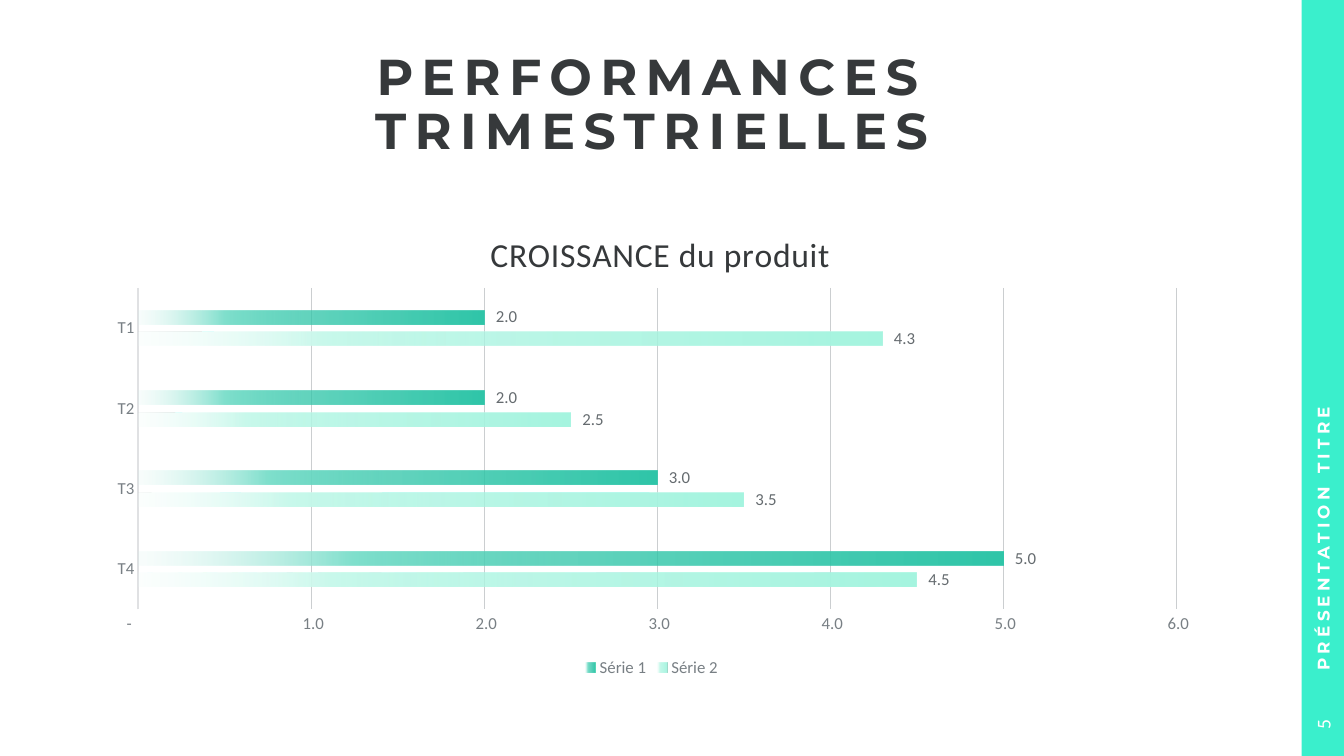
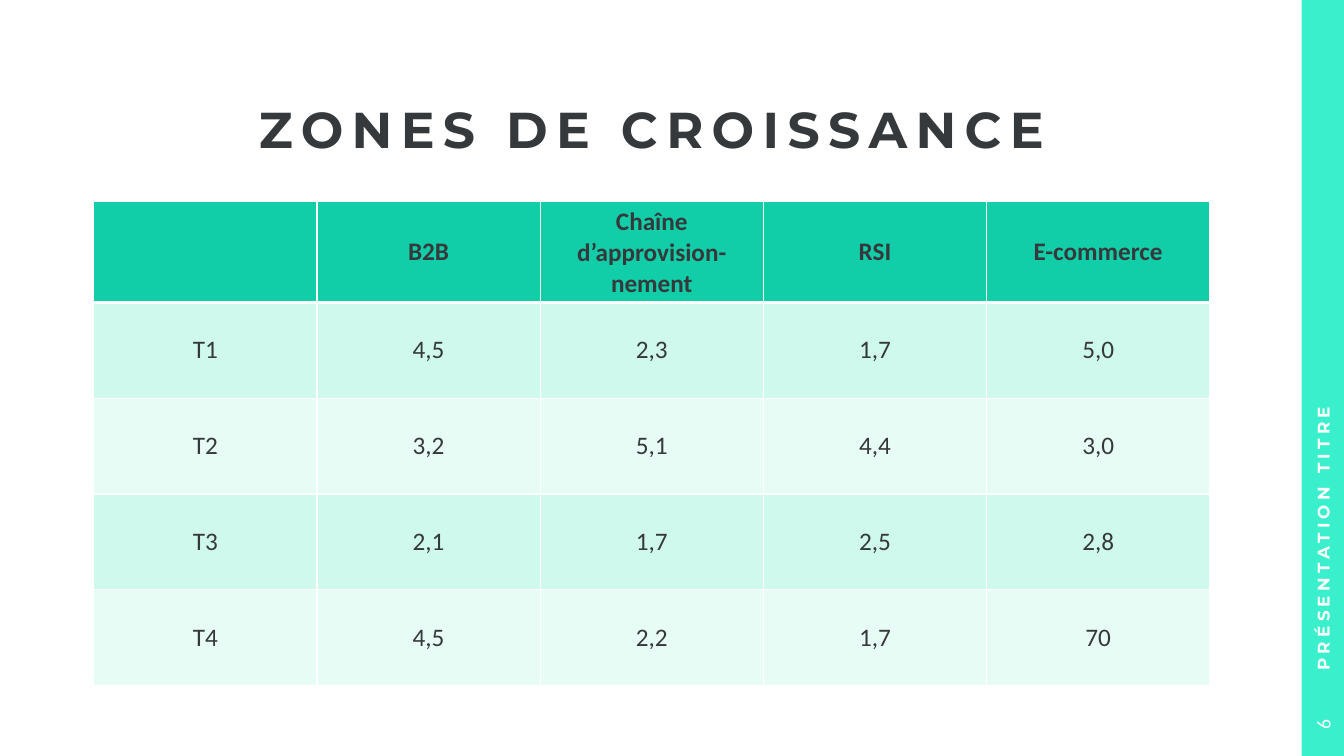
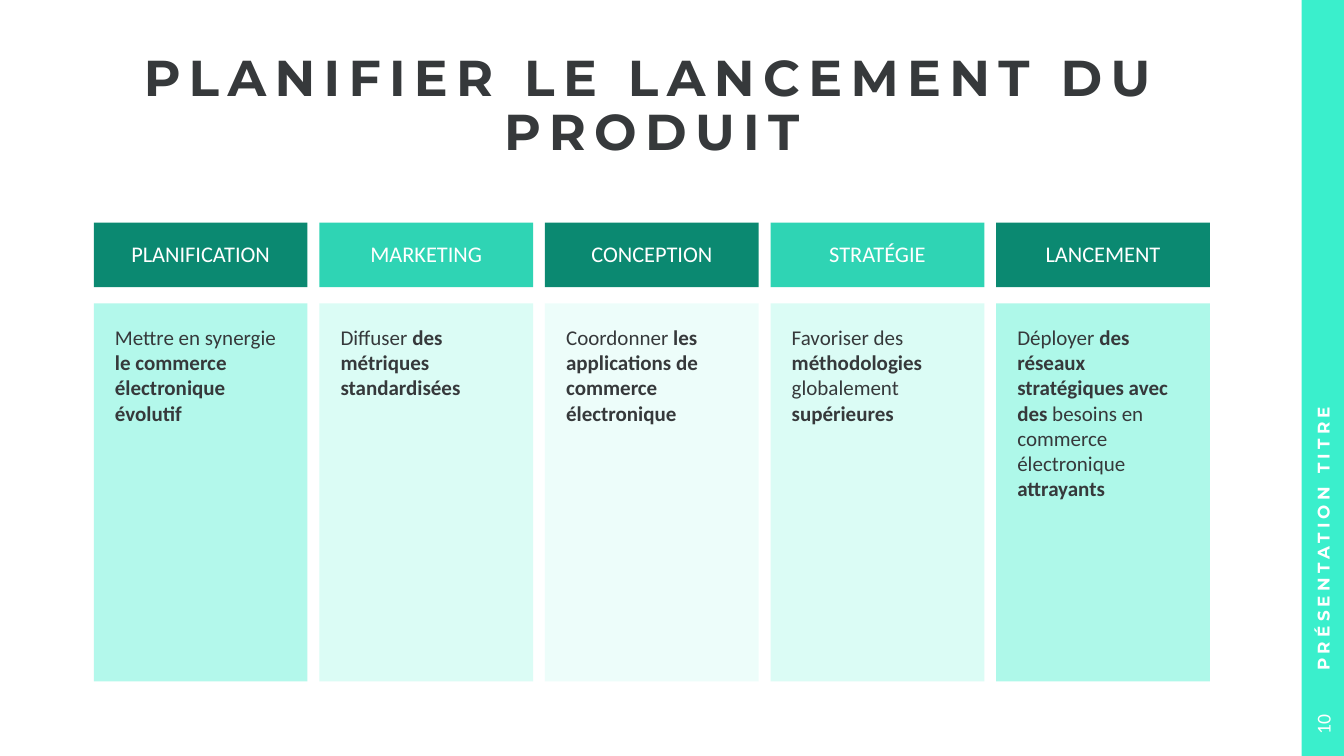
from dataclasses import dataclass

from lxml import etree
from pptx import Presentation
from pptx.chart.data import CategoryChartData
from pptx.dml.color import RGBColor
from pptx.enum.chart import XL_CHART_TYPE, XL_LABEL_POSITION, XL_LEGEND_POSITION, XL_TICK_MARK
from pptx.enum.shapes import MSO_SHAPE
from pptx.enum.text import MSO_ANCHOR, PP_ALIGN
from pptx.oxml import parse_xml
from pptx.oxml.ns import nsdecls, qn
from pptx.util import Inches, Pt

BAR_CLUSTERED = XL_CHART_TYPE.BAR_CLUSTERED
OUTSIDE_END = XL_LABEL_POSITION.OUTSIDE_END
LEGEND_BOTTOM = XL_LEGEND_POSITION.BOTTOM
NO_TICK = XL_TICK_MARK.NONE
RECTANGLE = MSO_SHAPE.RECTANGLE
TOP, MIDDLE = MSO_ANCHOR.TOP, MSO_ANCHOR.MIDDLE
LEFT, CENTER = PP_ALIGN.LEFT, PP_ALIGN.CENTER

WHITE = RGBColor(0xFF, 0xFF, 0xFF)
INK = RGBColor(0x36, 0x39, 0x3B)
BAND = RGBColor(0x3A, 0xEF, 0xCC)
EMERALD = RGBColor(0x11, 0xCE, 0xA9)
PINE = RGBColor(0x0B, 0x89, 0x71)
MINT = RGBColor(0x89, 0xF5, 0xE0)
PALE_MINT = RGBColor(0xB0, 0xF9, 0xEB)
FAINT_MINT = RGBColor(0xD8, 0xFC, 0xF5)
ODD_ROW = RGBColor(0xCE, 0xF9, 0xEC)
EVEN_ROW = RGBColor(0xE8, 0xFC, 0xF6)
AXIS_TEXT = RGBColor(0x78, 0x7F, 0x84)
LABEL_TEXT = RGBColor(0x65, 0x6B, 0x6F)
AXIS_LINE = RGBColor(0xE0, 0xE1, 0xE3)
GRID_LINE = RGBColor(0xCB, 0xCE, 0xD0)

HEADING_FONT = "Montserrat"
BODY_FONT = "Calibri"
MARGIN, CONTENT_WIDTH = 0.93, 11.07
TITLE_BOTTOM = 1.67
NUMBER_FORMAT = r'_(* #\ ##0.0_);_(* \(#\ ##0.0\);_(* "-"??_);_(@_)'


@dataclass(frozen=True)
class BarSeries:
    name: str
    values: tuple[float, ...]
    strong: RGBColor
    soft: RGBColor
    faint: RGBColor


@dataclass(frozen=True)
class Phase:
    name: str
    spans: tuple[tuple[str, bool], ...]
    header_fill: RGBColor
    header_opacity: int
    card_fill: RGBColor
    card_opacity: int


CATEGORIES = ("T4", "T3", "T2", "T1")
SERIES = (
    BarSeries("Série 2", (4.5, 3.5, 2.5, 4.3), RGBColor(0xA6, 0xF5, 0xE0),
              RGBColor(0xC9, 0xF9, 0xEC), RGBColor(0xED, 0xFD, 0xF9)),
    BarSeries("Série 1", (5, 3, 2, 2), RGBColor(0x30, 0xC6, 0xA9),
              RGBColor(0x80, 0xE0, 0xCD), RGBColor(0xD5, 0xF5, 0xEE)),
)
GROWTH_ROWS = (
    ("", "B2B", "Chaîne d’approvision-nement", "RSI", "E-commerce"),
    ("T1", "4,5", "2,3", "1,7", "5,0"),
    ("T2", "3,2", "5,1", "4,4", "3,0"),
    ("T3", "2,1", "1,7", "2,5", "2,8"),
    ("T4", "4,5", "2,2", "1,7", "70"),
)
PHASES = (
    Phase("PLANIFICATION",
          (("Mettre en synergie ", False), ("le commerce électronique évolutif", True)),
          PINE, 100, MINT, 64),
    Phase("MARKETING",
          (("Diffuser ", False), ("des métriques standardisées", True)),
          EMERALD, 87, PALE_MINT, 45),
    Phase("CONCEPTION",
          (("Coordonner ", False), ("les applications de commerce électronique", True)),
          PINE, 100, FAINT_MINT, 44),
    Phase("STRATÉGIE",
          (("Favoriser des", False), (" méthodologies ", True),
           ("globalement ", False), ("supérieures", True)),
          EMERALD, 87, PALE_MINT, 45),
    Phase("LANCEMENT",
          (("Déployer ", False), ("des réseaux stratégiques avec des", True),
           (" besoins en commerce électronique", False), (" attrayants", True)),
          PINE, 100, MINT, 68),
)


def style_font(font, *, size: float, color: RGBColor, name: str = BODY_FONT,
               bold: bool = False) -> None:
    font.size = Pt(size)
    font.name = name
    font.bold = bold
    font.color.rgb = color


def add_span(para, text: str, *, tracking: float = 0, **font_format) -> None:
    span = para.add_run()
    span.text = text
    style_font(span.font, **font_format)
    if tracking:
        span._r.get_or_add_rPr().set("spc", str(int(tracking * 100)))


def set_frame(frame, *, anchor=MIDDLE, insets=(0.1, 0.05, 0.1, 0.05)) -> None:
    frame.word_wrap = True
    frame.vertical_anchor = anchor
    frame.margin_left, frame.margin_top, frame.margin_right, frame.margin_bottom = map(Inches, insets)


def add_text(page, text: str, left: float, top: float, width: float, height: float, *,
             align=LEFT, insets=(0.1, 0.05, 0.1, 0.05), rotation: float = 0,
             line_spacing: float = 1.0, **span_format) -> None:
    box = page.shapes.add_textbox(Inches(left), Inches(top), Inches(width), Inches(height))
    box.rotation = rotation
    set_frame(box.text_frame, insets=insets)
    para = box.text_frame.paragraphs[0]
    para.alignment = align
    para.line_spacing = line_spacing
    add_span(para, text, **span_format)


def add_panel(page, left: float, top: float, width: float, height: float,
              color: RGBColor, opacity: int = 100):
    panel = page.shapes.add_shape(RECTANGLE, Inches(left), Inches(top), Inches(width), Inches(height))
    panel.shadow.inherit = False
    panel.line.fill.background()
    panel.fill.solid()
    panel.fill.fore_color.rgb = color
    if opacity < 100:
        for tint in panel.element.spPr.xpath("./a:solidFill/a:srgbClr"):
            etree.SubElement(tint, qn("a:alpha")).set("val", str(opacity * 1000))
    return panel


def add_page(deck, title: str, number: int, title_top: float):
    page = deck.slides.add_slide(deck.slide_layouts[6])
    add_panel(page, 12.91, 0, 0.42, 7.5, BAND)
    add_text(page, title, MARGIN, title_top, CONTENT_WIDTH, TITLE_BOTTOM - title_top,
             align=CENTER, insets=(0, 0, 0, 0), line_spacing=0.9,
             size=36, color=INK, name=HEADING_FONT, bold=True, tracking=6)
    add_text(page, "PRÉSENTATION TITRE", 9.68, 3.23, 6.88, 0.42, rotation=270,
             insets=(0.23, 0.05, 0.1, 0.05),
             size=12, color=WHITE, name=HEADING_FONT, bold=True, tracking=3)
    add_text(page, str(number), 12.81, 6.98, 0.62, 0.42, rotation=270,
             align=CENTER, size=14, color=WHITE)
    return page


def set_layout(parent, index: int, **fractions: float) -> None:
    for old in parent.findall(qn("c:layout")):
        parent.remove(old)
    layout = etree.Element(qn("c:layout"))
    manual = etree.SubElement(layout, qn("c:manualLayout"))
    settings = {"xMode": "edge", "yMode": "edge", **fractions}
    if "w" in fractions:
        settings = {"layoutTarget": "inner", **settings}
    for tag, value in settings.items():
        etree.SubElement(manual, qn(f"c:{tag}")).set("val", str(value))
    parent.insert(index, layout)


def fade_bars(series_element, bars: BarSeries) -> None:
    stops = ((0, bars.strong, 100), (51, bars.strong, 75), (75, bars.soft, 100), (100, bars.faint, 15))
    stop_xml = "".join(
        f'<a:gs pos="{position * 1000}"><a:srgbClr val="{color}">'
        f'<a:alpha val="{opacity * 1000}"/></a:srgbClr></a:gs>'
        for position, color, opacity in stops)
    series_element.get_or_add_spPr().append(parse_xml(
        f'<a:gradFill {nsdecls("a")}><a:gsLst>{stop_xml}</a:gsLst>'
        '<a:lin ang="10800000" scaled="0"/></a:gradFill>'))


def style_axis(axis) -> None:
    axis.major_tick_mark = NO_TICK
    axis.minor_tick_mark = NO_TICK
    style_font(axis.tick_labels.font, size=12, color=AXIS_TEXT)


def add_growth_chart(page) -> None:
    data = CategoryChartData()
    data.categories = CATEGORIES
    for bars in SERIES:
        data.add_series(bars.name, bars.values)
    chart = page.shapes.add_chart(BAR_CLUSTERED, Inches(MARGIN), Inches(2), Inches(CONTENT_WIDTH),
                                  Inches(4.76), data).chart
    style_font(chart.font, size=10, color=INK)

    chart.has_title = True
    add_span(chart.chart_title.text_frame.paragraphs[0], "CROISSANCE du produit",
             size=24, color=INK, tracking=0.5)
    chart.chart_title.include_in_layout = False
    set_layout(chart.chart_title.element, 1, x=0.35, y=0.05)
    set_layout(chart.element.xpath("//c:plotArea")[0], 0, x=0.04, y=0.18, w=0.93, h=0.67)

    chart.has_legend = True
    chart.legend.position = LEGEND_BOTTOM
    chart.legend.include_in_layout = False
    style_font(chart.legend.font, size=12, color=AXIS_TEXT)

    style_axis(chart.category_axis)
    chart.category_axis.format.line.color.rgb = AXIS_LINE
    chart.category_axis.format.line.width = Pt(1.5)

    values = chart.value_axis
    style_axis(values)
    values.minimum_scale, values.maximum_scale, values.major_unit = 0, 6, 1
    values.format.line.fill.background()
    values.major_gridlines.format.line.color.rgb = GRID_LINE
    values.major_gridlines.format.line.width = Pt(0.75)
    values.tick_labels.number_format = NUMBER_FORMAT
    values.tick_labels.number_format_is_linked = False

    plot = chart.plots[0]
    plot.vary_by_categories = False
    plot.gap_width = 326
    plot.overlap = -58
    for series, element, bars in zip(plot.series, chart.element.xpath("//c:ser"), SERIES):
        fade_bars(element, bars)
        labels = series.data_labels
        labels.show_value = True
        labels.position = OUTSIDE_END
        labels.number_format = NUMBER_FORMAT
        labels.number_format_is_linked = False
        style_font(labels.font, size=12, color=LABEL_TEXT)


def set_borders(cell, *, top: float, bottom: float) -> None:
    properties = cell._tc.get_or_add_tcPr()
    for side, width in (("L", 1), ("R", 1), ("T", top), ("B", bottom)):
        properties.append(parse_xml(
            f'<a:ln{side} {nsdecls("a")} w="{Pt(width)}"><a:solidFill>'
            f'<a:srgbClr val="{WHITE}"/></a:solidFill></a:ln{side}>'))


def add_growth_table(page) -> None:
    table = page.shapes.add_table(len(GROWTH_ROWS), len(GROWTH_ROWS[0]), Inches(MARGIN), Inches(2),
                                  Inches(CONTENT_WIDTH), Inches(4.75)).table
    for row, texts in enumerate(GROWTH_ROWS):
        is_header = row == 0
        fill = EMERALD if is_header else ODD_ROW if row % 2 else EVEN_ROW
        for column, text in enumerate(texts):
            cell = table.cell(row, column)
            set_borders(cell, top=3 if row == 1 else 1, bottom=3 if is_header else 1)
            cell.fill.solid()
            cell.fill.fore_color.rgb = fill
            cell.vertical_anchor = MIDDLE
            para = cell.text_frame.paragraphs[0]
            para.alignment = CENTER
            if text:
                add_span(para, text, size=18, color=INK, bold=is_header)


def add_phases(page) -> None:
    width = 2.12
    pitch = (CONTENT_WIDTH - width) / (len(PHASES) - 1)
    for index, phase in enumerate(PHASES):
        left = MARGIN + index * pitch
        header = add_panel(page, left, 2.21, width, 0.64, phase.header_fill, phase.header_opacity)
        set_frame(header.text_frame, insets=(0.17,) * 4)
        para = header.text_frame.paragraphs[0]
        para.alignment = CENTER
        para.line_spacing = 0.9
        add_span(para, phase.name, size=16, color=WHITE)

        card = add_panel(page, left, 3.01, width, 3.75, phase.card_fill, phase.card_opacity)
        set_frame(card.text_frame, anchor=TOP, insets=(0.21,) * 4)
        para = card.text_frame.paragraphs[0]
        para.alignment = LEFT
        for text, bold in phase.spans:
            add_span(para, text, size=15, color=INK, bold=bold)


def main() -> None:
    deck = Presentation()
    deck.slide_width = Inches(13.33)
    deck.slide_height = Inches(7.5)
    add_growth_chart(add_page(deck, "PERFORMANCES TRIMESTRIELLES", 5, 0.44))
    add_growth_table(add_page(deck, "ZONES DE CROISSANCE", 6, 0.96))
    add_phases(add_page(deck, "PLANIFIER LE LANCEMENT DU PRODUIT", 10, 0.46))
    deck.save("out.pptx")


if __name__ == "__main__":
    main()
